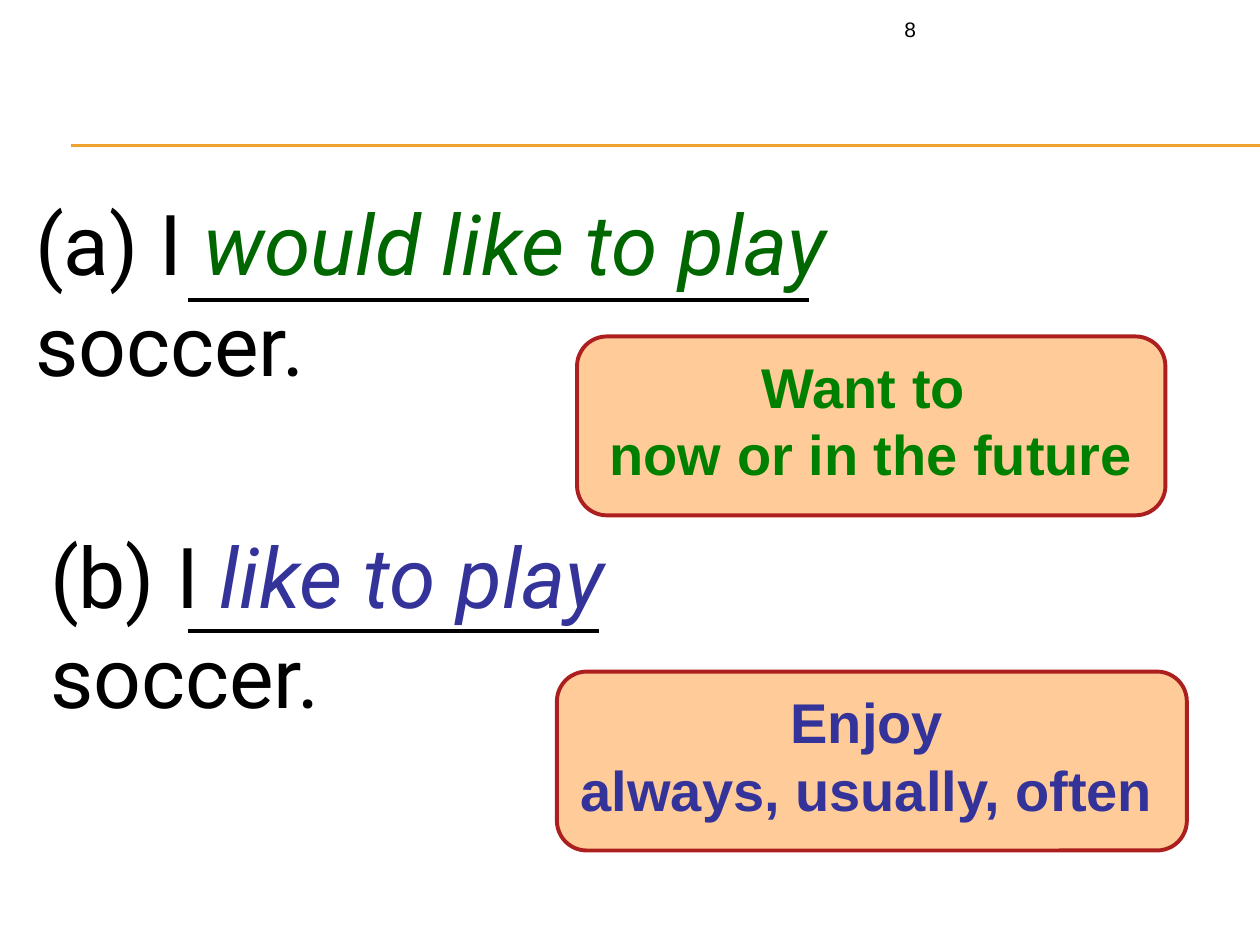
"""Build a slide contrasting "would like to" with "like to"."""
from dataclasses import dataclass

import pptx
import pptx.dml.color
import pptx.enum.shapes
import pptx.enum.text
import pptx.oxml.ns
import pptx.util
from lxml import etree

Inches = pptx.util.Inches
Align = pptx.enum.text.PP_ALIGN


@dataclass(frozen=True)
class Theme:
    """Hold the colours, fonts and sizes."""
    black: str = "000000"
    gold: str = "F0A22E"
    peach: str = "FFCC99"
    red: str = "AD1F1F"
    leaf: str = "006600"
    green: str = "008000"
    blue: str = "333399"
    sans: str = "Arial"
    body: str = "Roboto"
    small: int = 12
    note: int = 32
    large: int = 48
    thin: float = 0.75
    thick: float = 2.25


THEME = Theme()


def rgb(code):
    """Turn a hex code into a colour."""
    return pptx.dml.color.RGBColor.from_string(code)


def add_run(para, text, font=THEME.sans, size=THEME.small,
            color=THEME.black, bold=False, slant=False):
    """Add formatted text to a paragraph."""
    run = para.add_run()
    run.text = text
    run.font.name = font
    run.font.size = pptx.util.Pt(size)
    run.font.color.rgb = rgb(color)
    run.font.bold = bold
    run.font.italic = slant


def add_box(slide, left, top, width, height, lines, align=Align.LEFT, grow=True):
    """Add a text box of lines, each a list of (text, format) pairs."""
    box = slide.shapes.add_textbox(*map(Inches, (left, top, width, height)))
    frame = box.text_frame
    frame.word_wrap = True
    if grow:
        frame.auto_size = pptx.enum.text.MSO_AUTO_SIZE.SHAPE_TO_FIT_TEXT
    for index, line in enumerate(lines):
        para = frame.paragraphs[0] if index == 0 else frame.add_paragraph()
        para.alignment = align
        for text, style in line:
            add_run(para, text, **style)


def add_rule(slide, left, right, top, color, width):
    """Draw a level line without a shadow."""
    rule = slide.shapes.add_connector(
        pptx.enum.shapes.MSO_CONNECTOR.STRAIGHT,
        Inches(left), Inches(top), Inches(right), Inches(top))
    rule.line.color.rgb = rgb(color)
    rule.line.width = pptx.util.Pt(width)
    props = rule._element.spPr
    etree.SubElement(props, pptx.oxml.ns.qn("a:effectLst"))


def add_phrase(slide, left, top, width, label, verb, color):
    """Write a sentence with its verb phrase in colour."""
    plain = dict(font=THEME.body, size=THEME.large)
    line = [(f"{label} I ", plain),
            (verb, dict(plain, color=color, slant=True)),
            (" soccer.", plain)]
    add_box(slide, left, top, width, 0.91, [line])


def add_card(slide, left, top, width, span, lines, color):
    """Draw a rounded card with a centred meaning over it."""
    card = slide.shapes.add_shape(
        pptx.enum.shapes.MSO_SHAPE.ROUNDED_RECTANGLE,
        *map(Inches, (left, top, width, 1.42)))
    card.shadow.inherit = False
    card.fill.solid()
    card.fill.fore_color.rgb = rgb(THEME.peach)
    card.line.color.rgb = rgb(THEME.red)
    card.line.width = pptx.util.Pt(THEME.thick)
    style = dict(size=THEME.note, color=color, bold=True)
    add_box(slide, left, top + 0.08, span, 1.17,
            [[(text, style)] for text in lines], Align.CENTER)


def main():
    """Build and save the slide."""
    deck = pptx.Presentation()
    deck.slide_width, deck.slide_height = Inches(10), Inches(7.5)
    slide = deck.slides.add_slide(deck.slide_layouts[6])
    for top in (1.15, 1.16):
        add_rule(slide, 0.56, 10, top, THEME.gold, THEME.thin)
    add_box(slide, 7.08, 0.08, 2.75, 0.32, [[("8", {})]], grow=False)
    add_phrase(slide, 0.18, 1.47, 8.47, "(a)", "would like to play", THEME.leaf)
    add_phrase(slide, 0.3, 4.11, 6.63, "(b)", "like to play", THEME.blue)
    add_card(slide, 4.42, 5.33, 5, 4.92,
             ["Enjoy", "always, usually, often"], THEME.blue)
    add_card(slide, 4.58, 2.67, 4.67, 4.67,
             ["Want to ", "now or in the future"], THEME.green)
    for right, top in ((6.42, 2.38), (4.75, 5.01)):
        add_rule(slide, 1.49, right, top, THEME.black, THEME.thick)
    deck.save("out.pptx")


if __name__ == "__main__":
    main()
